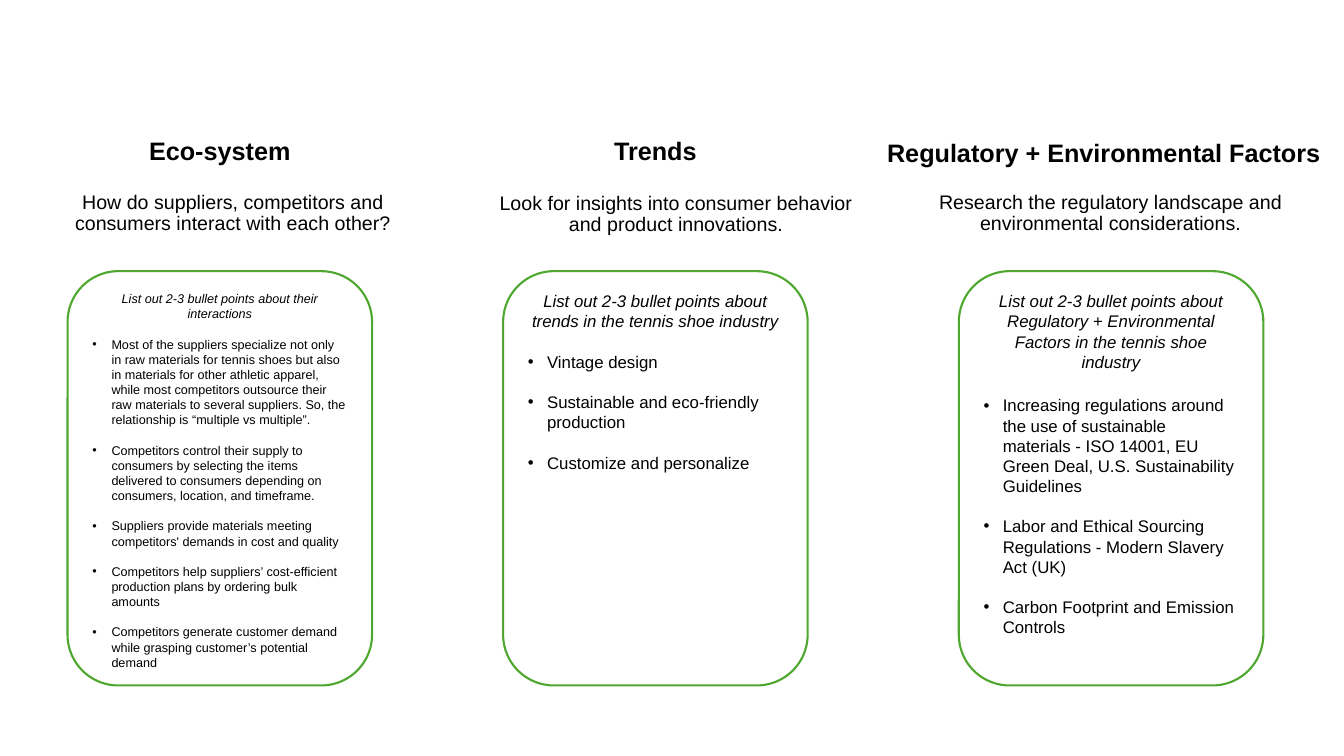
from pptx import Presentation
from pptx.dml.color import RGBColor
from pptx.enum import shapes, text
from pptx.oxml import parse_xml
from pptx.oxml.ns import nsdecls
from pptx.util import Inches, Pt

BLACK = RGBColor(0x00, 0x00, 0x00)
WHITE = RGBColor(0xFF, 0xFF, 0xFF)
GREEN = RGBColor(0x4E, 0xA7, 0x2E)
FONT = "Arial"
CENTER, LEFT = text.PP_ALIGN.CENTER, text.PP_ALIGN.LEFT
TOP, MIDDLE = text.MSO_ANCHOR.TOP, text.MSO_ANCHOR.MIDDLE

COLUMNS = [
    {
        "heading": "Eco-system",
        "heading_at": (0.22, 1.18, 3.92, 0.67),
        "heading_align": CENTER,
        "question": "How do suppliers, competitors and consumers interact with each other?",
        "question_at": (0.45, 1.86, 3.72, 0.69),
        "card_left": 0.67,
        "size": 9,
        "first_gap": 10.8,
        "prompt": ["List out 2-3 bullet points about their interactions"],
        "bullets": [
            "Most of the suppliers specialize not only in raw materials for tennis shoes but also in materials for other athletic apparel, while most competitors outsource their raw materials to several suppliers. So, the relationship is “multiple vs multiple”.",
            "Competitors control their supply to consumers by selecting the items delivered to consumers depending on consumers, location, and timeframe.",
            "Suppliers provide materials meeting competitors' demands in cost and quality",
            "Competitors help suppliers’ cost-efficient production plans by ordering bulk amounts",
            "Competitors generate customer demand while grasping customer’s potential demand",
        ],
    },
    {
        "heading": "Trends",
        "heading_at": (4.54, 1.18, 3.92, 0.67),
        "heading_align": CENTER,
        "question": "Look for insights into consumer behavior and product innovations.",
        "question_at": (4.71, 1.87, 3.99, 0.7),
        "card_left": 4.99,
        "size": 12,
        "first_gap": 14.4,
        "prompt": ["List out 2-3 bullet points about trends in the tennis shoe industry"],
        "bullets": [
            "Vintage design",
            "Sustainable and eco-friendly production",
            "Customize and personalize",
        ],
    },
    {
        "heading": "Regulatory + Environmental Factors",
        "heading_at": (8.7, 1.2, 4.6, 0.67),
        "heading_align": LEFT,
        "question": "Research the regulatory landscape and environmental considerations.",
        "question_at": (9.02, 1.86, 3.99, 0.7),
        "card_left": 9.51,
        "size": 12,
        "first_gap": 16.8,
        "prompt": [
            "List out 2-3 bullet points about ",
            "Regulatory + Environmental Factors",
            " in the tennis shoe industry",
        ],
        "bullets": [
            "Increasing regulations around the use of sustainable materials - ISO 14001, EU Green Deal, U.S. Sustainability Guidelines",
            "Labor and Ethical Sourcing Regulations - Modern Slavery Act (UK)",
            "Carbon Footprint and Emission Controls",
        ],
    },
]
CARD_TOP, CARD_W, CARD_H = 2.69, 3.02, 4.11
INDENT = Inches(0.19)
LINE_RATIO = 1.2


def set_frame(sp, anchor):
    tf = sp.text_frame
    tf.word_wrap = True
    tf.auto_size = text.MSO_AUTO_SIZE.NONE
    tf.vertical_anchor = anchor
    return tf


def add_run(p, words, size, bold=False, italic=False):
    r = p.add_run()
    r.text = words
    r.font.name, r.font.size = FONT, Pt(size)
    r.font.bold, r.font.italic = bold, italic
    r.font.color.rgb = BLACK


def add_bullet(p):
    pPr = p._p.get_or_add_pPr()
    pPr.set("marL", str(INDENT))
    pPr.set("indent", str(-INDENT))
    pPr.append(parse_xml(f'<a:buFont {nsdecls("a")} typeface="{FONT}"/>'))
    pPr.append(parse_xml(f'<a:buChar {nsdecls("a")} char="•"/>'))


def write_label(sp, words, size, align, anchor, bold=False, before=0):
    p = set_frame(sp, anchor).paragraphs[0]
    p.alignment, p.line_spacing, p.space_before = align, 0.9, Pt(before)
    add_run(p, words, size, bold)


def add_card(s, column):
    sp = s.shapes.add_shape(
        shapes.MSO_SHAPE.ROUNDED_RECTANGLE,
        Inches(column["card_left"]), Inches(CARD_TOP), Inches(CARD_W), Inches(CARD_H))
    sp.shadow.inherit = False
    sp.fill.solid()
    sp.fill.fore_color.rgb = WHITE
    sp.line.color.rgb = GREEN
    sp.line.width = Pt(1.5)
    tf = set_frame(sp, TOP)
    size = column["size"]
    p = tf.paragraphs[0]
    p.alignment = CENTER
    for words in column["prompt"]:
        add_run(p, words, size, italic=True)
    for i, words in enumerate(column["bullets"]):
        p = tf.add_paragraph()
        p.alignment = LEFT
        p.space_before = Pt(size * LINE_RATIO if i else column["first_gap"])
        add_bullet(p)
        add_run(p, words, size)


def main():
    prs = Presentation()
    prs.slide_width, prs.slide_height = Inches(13.33), Inches(7.5)
    s = prs.slides.add_slide(prs.slide_layouts[5])
    for i, column in enumerate(COLUMNS):
        box = [Inches(v) for v in column["heading_at"]]
        if i == 0:
            sp = s.shapes.title
            sp.left, sp.top, sp.width, sp.height = box
        else:
            sp = s.shapes.add_textbox(*box)
        write_label(sp, column["heading"], 18, column["heading_align"], MIDDLE, bold=True)
        sp = s.shapes.add_textbox(*[Inches(v) for v in column["question_at"]])
        write_label(sp, column["question"], 14, CENTER, TOP, before=10)
        add_card(s, column)
    prs.save("out.pptx")


if __name__ == "__main__":
    main()
